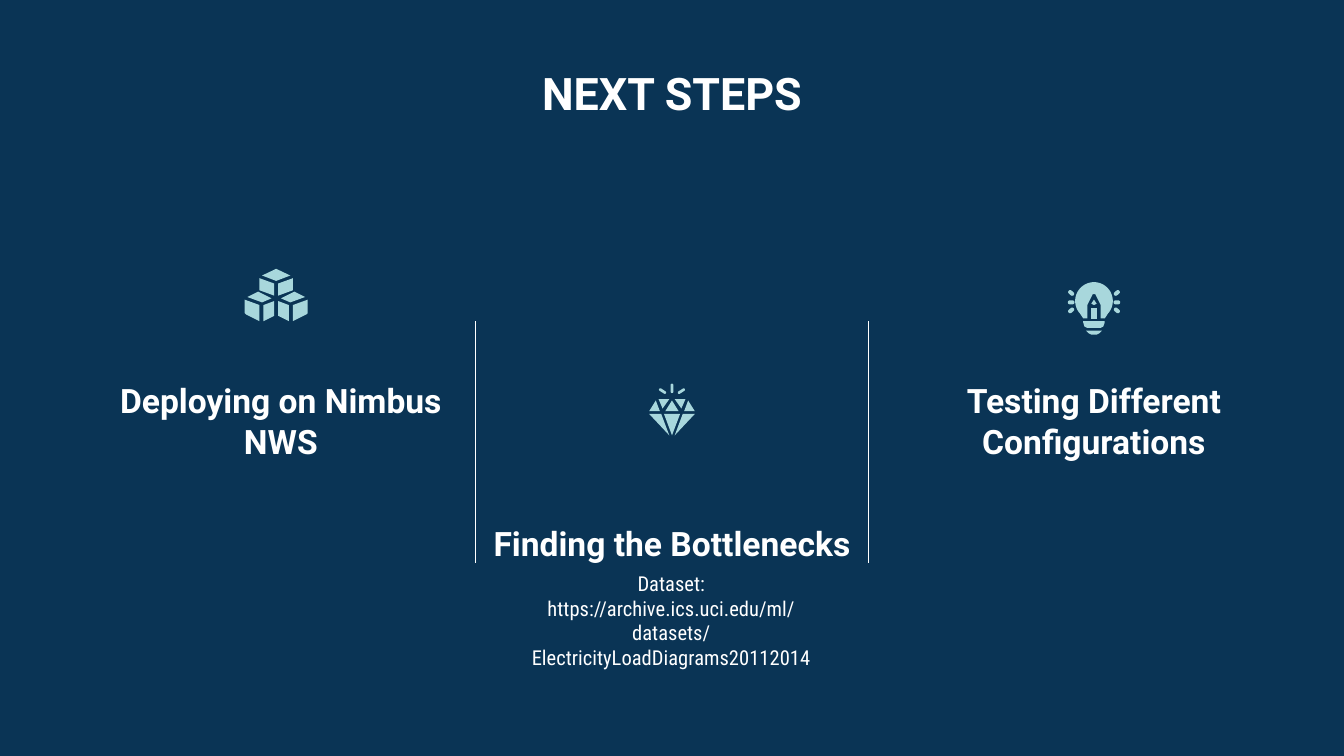
import math
from dataclasses import dataclass

import lxml.etree
import pptx
import pptx.dml.color
import pptx.enum.shapes
import pptx.enum.text
import pptx.oxml.ns
import pptx.shapes.group
import pptx.slide
import pptx.util

PX = 9144  # EMU per px, 100 px to the inch
SLIDE_WIDTH = 1000
SLIDE_HEIGHT = SLIDE_WIDTH * 9 / 16
INSET = 10

Point = tuple[float, float]
Outline = list[Point]
Anchor = pptx.enum.text.MSO_ANCHOR


@dataclass(frozen=True)
class Theme:
    background: str = "0A3455"
    text: str = "FFFFFF"
    icon: str = "A8D7DC"
    heading_font: str = "Roboto"
    body_font: str = "Roboto Condensed"
    title_size: int = 24
    step_size: int = 18
    detail_size: int = 11
    divider_width: float = 0.75


THEME = Theme()


@dataclass(frozen=True)
class Label:
    text: str
    left: int
    top: int
    width: int
    height: int
    size: int = THEME.step_size
    font: str = THEME.heading_font
    bold: bool = True
    anchor: Anchor = Anchor.BOTTOM


@dataclass(frozen=True)
class Ray:
    """A rounded bar, given by its centre and turned clockwise."""
    x: int
    y: int
    length: int
    thickness: int
    angle: int


@dataclass(frozen=True)
class Icon:
    """Central parts, plus left-hand parts that are repeated mirrored about the axis."""
    axis: float
    central: list[Outline]
    paired: list[Outline]
    central_rays: list[Ray]
    paired_rays: list[Ray]


def bulb_glass() -> Outline:
    """Round bulb narrowing to its neck, with a pencil-shaped notch."""
    arc = [(814 + 14 * math.cos(math.radians(a)), 224 + 14 * math.sin(math.radians(a)))
           for a in range(138, 403, 6)]
    return arc + [(822, 237), (819, 237), (819, 227), (815, 219),
                  (813, 219), (809, 227), (809, 237), (806, 237)]


LABELS = [
    Label("NEXT STEPS", 215, 39, 570, 103, size=THEME.title_size, anchor=Anchor.TOP),
    Label("Deploying on Nimbus NWS", 63, 264, 292, 89),
    Label("Finding the Bottlenecks", 354, 332, 292, 97),
    Label("Testing Different Configurations", 646, 264, 336, 89),
    Label("Dataset:\nhttps://archive.ics.uci.edu/ml/datasets/ElectricityLoadDiagrams20112014",
          378, 415, 243, 110, size=THEME.detail_size, font=THEME.body_font,
          bold=False, anchor=Anchor.TOP),
]

DIVIDERS_X = [354, 646]
DIVIDER_TOP, DIVIDER_BOTTOM = 239, 419

CUBES = Icon(
    axis=205.5,
    central=[[(205.5, 200), (195, 205), (205.5, 209), (216, 205)]],
    paired=[
        [(193, 207), (193, 216), (204, 220), (204, 211)],
        [(204, 224), (196, 227), (196, 239), (204, 235)],
        [(192, 217), (184, 221), (195, 225), (202, 222)],
        [(182, 223), (182, 233), (183, 234), (193, 239), (193, 227)],
    ],
    central_rays=[],
    paired_rays=[],
)

BULB = Icon(
    axis=814,
    central=[
        bulb_glass(),
        [(812, 229), (812, 237), (816, 237), (816, 229)],
        [(814, 223), (812, 226), (814, 227), (816, 226)],
        [(806, 239), (806, 240), (807, 243), (809, 244),
         (819, 244), (821, 243), (822, 240), (822, 239)],
        [(808, 246), (810, 248), (812, 249), (816, 249), (818, 248), (820, 246)],
    ],
    paired=[],
    central_rays=[],
    paired_rays=[Ray(797, 218, 5, 3, 40), Ray(797, 225, 5, 3, 0), Ray(797, 231, 5, 3, -40)],
)

DIAMOND = Icon(
    axis=500,
    central=[
        [(494, 308), (500, 324), (506, 308)],
        [(500, 298), (495, 306), (505, 306)],
    ],
    paired=[
        [(490, 297), (493, 304), (498, 297)],
        [(488, 298), (483, 306), (491, 306)],
        [(483, 308), (498, 324), (492, 308)],
    ],
    central_rays=[Ray(500, 289, 7, 2, 90)],
    paired_rays=[Ray(493, 291, 6, 2, 33)],
)


def emu(px: float) -> int:
    return round(px * PX)


def rgb(code: str) -> pptx.dml.color.RGBColor:
    return pptx.dml.color.RGBColor.from_string(code)


def paint(part) -> None:
    part.shadow.inherit = False
    part.fill.solid()
    part.fill.fore_color.rgb = rgb(THEME.icon)
    part.line.fill.background()


def draw_outline(group: pptx.shapes.group.GroupShape, outline: Outline) -> None:
    start, *rest = [(emu(x), emu(y)) for x, y in outline]
    builder = group.shapes.build_freeform(*start)
    builder.add_line_segments(rest, close=True)
    paint(builder.convert_to_shape())


def draw_ray(group: pptx.shapes.group.GroupShape, ray: Ray) -> None:
    bar = group.shapes.add_shape(
        pptx.enum.shapes.MSO_SHAPE.ROUNDED_RECTANGLE,
        emu(ray.x - ray.length / 2), emu(ray.y - ray.thickness / 2),
        emu(ray.length), emu(ray.thickness))
    bar.adjustments[0] = 0.5
    bar.rotation = ray.angle
    paint(bar)


def draw_icon(slide: pptx.slide.Slide, icon: Icon) -> None:
    group = slide.shapes.add_group_shape()
    mirrored = [[(2 * icon.axis - x, y) for x, y in outline] for outline in icon.paired]
    for outline in icon.central + icon.paired + mirrored:
        draw_outline(group, outline)
    mirrored_rays = [Ray(round(2 * icon.axis - ray.x), ray.y, ray.length, ray.thickness, -ray.angle)
                     for ray in icon.paired_rays]
    for ray in icon.central_rays + icon.paired_rays + mirrored_rays:
        draw_ray(group, ray)


def draw_label(slide: pptx.slide.Slide, label: Label) -> None:
    box = slide.shapes.add_textbox(
        emu(label.left), emu(label.top), emu(label.width), emu(label.height))
    frame = box.text_frame
    frame.word_wrap = True
    frame.vertical_anchor = label.anchor
    frame.margin_left = frame.margin_right = emu(INSET)
    frame.margin_top = frame.margin_bottom = emu(INSET)
    frame.text = label.text
    for paragraph in frame.paragraphs:
        paragraph.alignment = pptx.enum.text.PP_ALIGN.CENTER
        for run in paragraph.runs:
            run.font.name = label.font
            run.font.size = pptx.util.Pt(label.size)
            run.font.bold = label.bold
            run.font.color.rgb = rgb(THEME.text)


def draw_divider(slide: pptx.slide.Slide, x: int) -> None:
    divider = slide.shapes.add_connector(
        pptx.enum.shapes.MSO_CONNECTOR.STRAIGHT,
        emu(x), emu(DIVIDER_TOP), emu(x), emu(DIVIDER_BOTTOM))
    divider.line.color.rgb = rgb(THEME.text)
    divider.line.width = pptx.util.Pt(THEME.divider_width)
    lxml.etree.SubElement(divider._element.spPr, pptx.oxml.ns.qn("a:effectLst"))


def main() -> None:
    deck = pptx.Presentation()
    deck.slide_width, deck.slide_height = emu(SLIDE_WIDTH), emu(SLIDE_HEIGHT)
    slide = deck.slides.add_slide(deck.slide_layouts[6])
    slide.background.fill.solid()
    slide.background.fill.fore_color.rgb = rgb(THEME.background)
    for label in LABELS:
        draw_label(slide, label)
    for x in DIVIDERS_X:
        draw_divider(slide, x)
    for icon in (CUBES, BULB, DIAMOND):
        draw_icon(slide, icon)
    deck.save("out.pptx")


if __name__ == "__main__":
    main()
